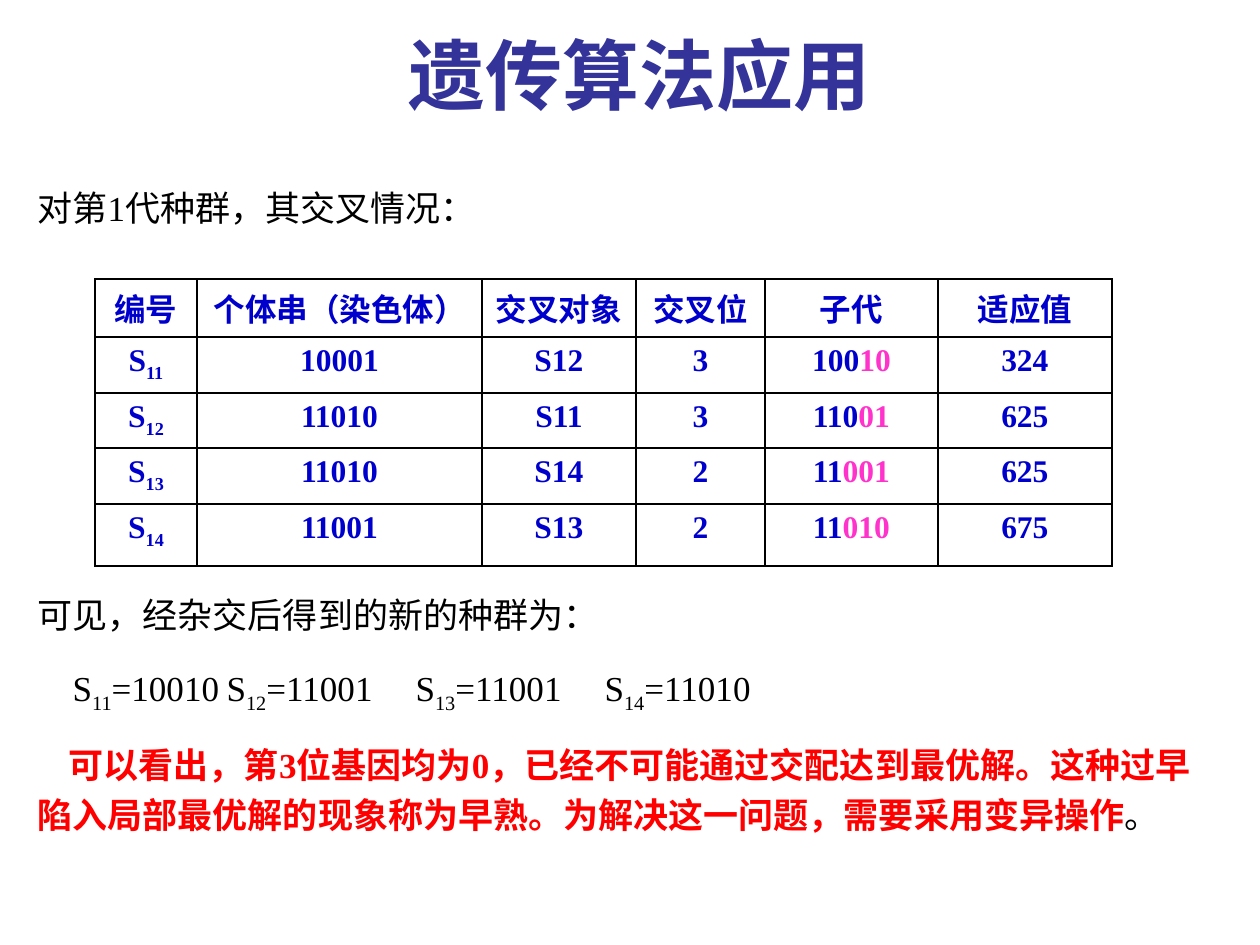
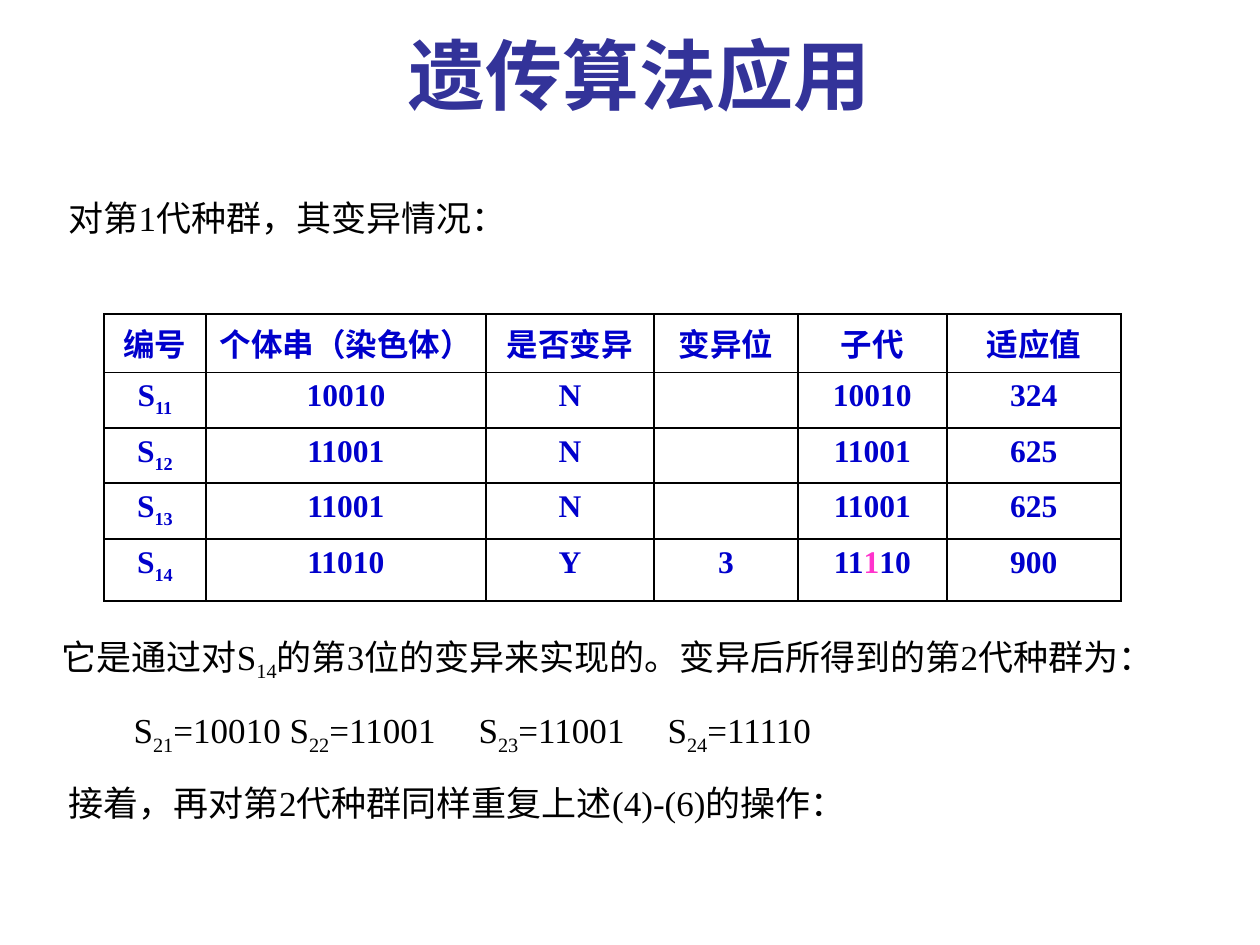
from dataclasses import dataclass

from lxml import etree
from pptx import Presentation
from pptx.dml.color import RGBColor
from pptx.enum.text import MSO_ANCHOR, MSO_AUTO_SIZE, PP_ALIGN
from pptx.oxml.ns import qn
from pptx.util import Emu, Pt

PIXEL = 914400 // 126
TOP, NO_FIT = MSO_ANCHOR.TOP, MSO_AUTO_SIZE.NONE
LEFT, CENTER = PP_ALIGN.LEFT, PP_ALIGN.CENTER
TITLE_AND_CONTENT = 1


@dataclass(frozen=True)
class Theme:
    title_font: str = "Noto Sans CJK JP"
    text_font: str = "Times New Roman"
    title: str = "333399"
    text: str = "000000"
    table: str = "0000CC"
    changed: str = "FF33CC"
    warning: str = "FF0000"
    title_size: int = 44
    text_size: int = 20
    table_size: int = 18
    border: int = 1


def px(value):
    return Emu(value * PIXEL)


def apply(target, values):
    for name, value in values.items():
        setattr(target, name, value)


def place(shape, box):
    apply(shape, dict(zip(("left", "top", "width", "height"), map(px, box))))


def sub(digits):
    return digits, "sub"


def changed(digits):
    return digits, "changed"


def population(generation, strings):
    """Tab-separated S_ij=string items of one generation."""
    runs = []
    for number, string in enumerate(strings, 1):
        runs += ["\tS" if number > 1 else "S", sub(f"{generation}{number}"), f"={string}"]
    return runs


class Deck:
    def __init__(self, theme):
        self.theme = theme
        self.file = Presentation()
        apply(self.file, {"slide_width": px(1260), "slide_height": px(945)})
        self.slide = None
        self.styles = {
            "sub": {},
            "changed": {"color": theme.changed},
            "warning": {"color": theme.warning, "bold": True},
        }

    def add_slide(self, title):
        self.slide = self.file.slides.add_slide(self.file.slide_layouts[TITLE_AND_CONTENT])
        heading = self.slide.shapes.title
        place(heading, (255, 21, 769, 106))
        apply(heading.text_frame, {"vertical_anchor": TOP, "auto_size": NO_FIT})
        paragraph = heading.text_frame.paragraphs[0]
        paragraph.alignment = CENTER
        self.add_runs(paragraph, [title], self.theme.title_font, self.theme.title_size,
                      self.theme.title, True)

    def add_runs(self, paragraph, runs, font, size, color, bold=False):
        for part in runs:
            words, style = (part, None) if isinstance(part, str) else part
            run = paragraph.add_run()
            run.text = words
            look = {"color": color, "bold": bold, **self.styles.get(style, {})}
            apply(run.font, {"name": font, "size": Pt(size), "bold": look["bold"]})
            run.font.color.rgb = RGBColor.from_string(look["color"])
            if style == "sub":
                run.font._element.set("baseline", "-25000")

    def body(self, box, line_spacing, paragraphs):
        """Each paragraph is (first-line indent, space before, runs, tab stops)."""
        holder = self.slide.placeholders[1]
        place(holder, box)
        frame = holder.text_frame
        apply(frame, {"vertical_anchor": TOP, "auto_size": NO_FIT, "word_wrap": True})
        for index, (indent, before, runs, tabs) in enumerate(paragraphs):
            paragraph = frame.add_paragraph() if index else frame.paragraphs[0]
            apply(paragraph, {"alignment": LEFT, "space_before": Pt(before),
                              "line_spacing": line_spacing if index else 1.0})
            properties = paragraph._p.get_or_add_pPr()
            properties.set("marL", "0")
            properties.set("indent", str(px(indent)))
            etree.SubElement(properties, qn("a:buNone"))
            if tabs:
                stops = etree.SubElement(properties, qn("a:tabLst"))
                for stop in tabs:
                    etree.SubElement(stops, qn("a:tab"), pos=str(px(stop)), algn="l")
            self.add_runs(paragraph, runs, self.theme.text_font, self.theme.text_size,
                          self.theme.text)

    def table(self, left, top, columns, rows, records):
        box = (left, top, sum(columns), sum(rows))
        grid = self.slide.shapes.add_table(len(rows), len(columns), *map(px, box)).table
        apply(grid, {"first_row": False, "horz_banding": False})
        for column, width in zip(grid.columns, columns):
            column.width = px(width)
        for row, height, record in zip(grid.rows, rows, records):
            row.height = px(height)
            for cell, runs in zip(row.cells, record):
                self.fill_cell(cell, runs)

    def fill_cell(self, cell, runs):
        cell.vertical_anchor = TOP
        paragraph = cell.text_frame.paragraphs[0]
        paragraph.alignment = CENTER
        paragraph.font.size = Pt(self.theme.table_size)
        self.add_runs(paragraph, runs, self.theme.text_font, self.theme.table_size,
                      self.theme.table, True)
        properties = cell._tc.get_or_add_tcPr()
        for side in ("lnL", "lnR", "lnT", "lnB"):
            line = etree.SubElement(properties, qn(f"a:{side}"), w=str(Pt(self.theme.border)))
            paint = etree.SubElement(line, qn("a:solidFill"))
            etree.SubElement(paint, qn("a:srgbClr"), val=self.theme.text)
        cell.fill.background()


TITLE = "遗传算法应用"
ROWS = (50, 56, 55, 56, 62)
deck = Deck(Theme())


def records(headings, individuals):
    """Heading row, then one numbered row for each individual."""
    return [[[heading] for heading in headings]] + [
        [["S", sub(f"1{number}")], *cells] for number, cells in enumerate(individuals, 1)]


# Crossover of generation 1
deck.add_slide(TITLE)
deck.body((25, 180, 1211, 658), 1.2, [
    (0, 0, ["对第1代种群，其交叉情况："], ()),
    (0, 204, ["可见，经杂交后得到的新的种群为："], ()),
    (35, 12, population(1, ("10010", "11001", "11001", "11010")), (251, 476, 692)),
    (31, 12, [("可以看出，第3位基因均为0，已经不可能通过交配达到最优解。这种过早陷入局部最优解的"
               "现象称为早熟。为解决这一问题，需要采用变异操作", "warning"), "。"], ()),
])
crossovers = [
    ("10001", "S12", "3", "100", "10", "324"),
    ("11010", "S11", "3", "110", "01", "625"),
    ("11010", "S14", "2", "11", "001", "625"),
    ("11001", "S13", "2", "11", "010", "675"),
]
deck.table(95, 279, (102, 285, 154, 129, 173, 174), ROWS, records(
    ("编号", "个体串（染色体）", "交叉对象", "交叉位", "子代", "适应值"),
    [([parent], [partner], [position], [kept, changed(swapped)], [fitness])
     for parent, partner, position, kept, swapped, fitness in crossovers]))

# Mutation of generation 1
deck.add_slide(TITLE)
deck.body((25, 190, 1235, 632), 1.1, [
    (31, 0, ["对第1代种群，其变异情况："], ()),
    (24, 224, ["它是通过对S", sub("14"), "的第3位的变异来实现的。变异后所得到的第2代种群为："], ()),
    (96, 12, population(2, ("10010", "11001", "11001", "11110")), (304, 520, 737)),
    (31, 12, ["接着，再对第2代种群同样重复上述(4)-(6)的操作："], ()),
])
unchanged = [("10010", "324"), ("11001", "625"), ("11001", "625")]
deck.table(104, 314, (102, 280, 168, 144, 149, 174), ROWS, records(
    ("编号", "个体串（染色体）", "是否变异", "变异位", "子代", "适应值"),
    [([string], ["N"], [], [string], [fitness]) for string, fitness in unchanged]
    + [(["11010"], ["Y"], ["3"], ["11", changed("1"), "10"], ["900"])]))

deck.file.save("out.pptx")
